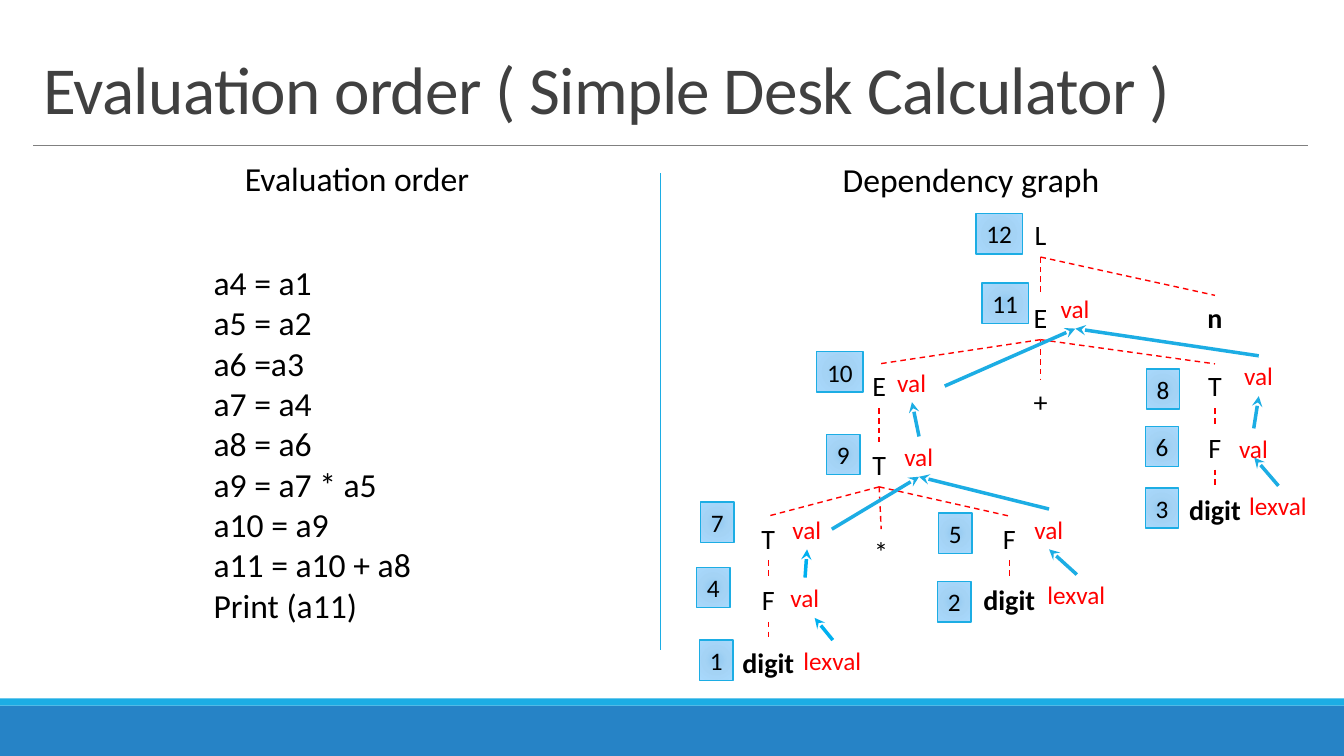
from lxml import etree
from pptx import Presentation
from pptx.dml.color import RGBColor
from pptx.enum import dml, shapes, text
from pptx.oxml import parse_xml
from pptx.oxml.ns import nsdecls, qn
from pptx.util import Inches, Pt

FONT = "Calibri"
BLACK = RGBColor(0x00, 0x00, 0x00)
TITLE_GREY = RGBColor(0x40, 0x40, 0x40)
RULE_GREY = RGBColor(0x80, 0x80, 0x80)
RED = RGBColor(0xFF, 0x00, 0x00)
CYAN = RGBColor(0x1C, 0xAD, 0xE4)
BRIGHT_CYAN = RGBColor(0x00, 0xB0, 0xF0)
BLUE = RGBColor(0x26, 0x83, 0xC6)
BADGE_STOPS = [(0, RGBColor(0x92, 0xC9, 0xF0)), (45, RGBColor(0xA4, 0xD3, 0xF5)),
               (100, RGBColor(0xA9, 0xD9, 0xFD))]

TOP, BOTTOM, RIGHT = 0, 2, 3

STEPS = ["a4 = a1", "a5 = a2", "a6 =a3", "a7 = a4", "a8 = a6", "a9 = a7 * a5",
         "a10 = a9", "a11 = a10 + a8", "Print (a11)"]

SYMBOLS = {
    "L": ("L", 3.42, 0.61), "E sum": ("E", 3.42, 1.43), "n": ("n", 5.15, 1.43),
    "E left": ("E", 1.82, 2.11), "+": ("+", 3.42, 2.27), "T right": ("T", 5.15, 2.11),
    "F right": ("F", 5.15, 2.72), "digit right": ("digit", 5.15, 3.34),
    "T product": ("T", 1.82, 2.89), "T left": ("T", 0.72, 3.62), "*": ("*", 1.84, 3.75),
    "F middle": ("F", 3.11, 3.62), "digit middle": ("digit", 3.11, 4.23),
    "F left": ("F", 0.72, 4.23), "digit left": ("digit", 0.72, 4.85),
}
CHILDREN = {
    "L": ["E sum", "n"], "E sum": ["E left", "+", "T right"], "E left": ["T product"],
    "T product": ["T left", "*", "F middle"], "T left": ["F left"],
    "F left": ["digit left"], "F middle": ["digit middle"],
    "T right": ["F right"], "F right": ["digit right"],
}
ATTRIBUTES = {
    "digit left": (0.97, 4.85), "digit middle": (3.39, 4.2), "digit right": (5.39, 3.32),
    "F left": (0.84, 4.23), "T left": (0.86, 3.55), "F middle": (3.26, 3.55),
    "E left": (1.9, 2.09), "T product": (1.97, 2.83), "F right": (5.29, 2.75),
    "T right": (5.34, 2.03), "E sum": (3.52, 1.36),
}
DEPENDENCIES = [
    (("digit left", TOP), (1.18, 4.63), BRIGHT_CYAN),
    (("F left", TOP), ("T left", BOTTOM), BRIGHT_CYAN),
    (("digit middle", TOP), ("F middle", BOTTOM), CYAN),
    (("T left", RIGHT), ("T product", BOTTOM), CYAN),
    (("F middle", TOP), ("T product", BOTTOM), CYAN),
    (("T product", TOP), ("E left", BOTTOM), CYAN),
    ((2.47, 2.33), ("E sum", BOTTOM), CYAN),
    (("T right", TOP), ("E sum", BOTTOM), CYAN),
    (("digit right", TOP), (5.54, 3.04), CYAN),
    (("F right", TOP), ("T right", BOTTOM), CYAN),
]
BADGES = {
    1: (0.04, 4.85), 2: (2.4, 4.27), 3: (4.46, 3.34), 4: (0.01, 4.13),
    5: (2.41, 3.59), 6: (4.46, 2.73), 7: (0.05, 3.48), 8: (4.47, 2.16),
    9: (1.3, 2.81), 10: (1.2, 1.99), 11: (2.84, 1.31), 12: (2.78, 0.62),
}


def write(frame, words, size, color=BLACK, bold=False, align=text.PP_ALIGN.LEFT):
    frame.text = words
    for paragraph in frame.paragraphs:
        paragraph.alignment = align
        for run in paragraph.runs:
            run.font.name = FONT
            run.font.size = Pt(size)
            run.font.bold = bold
            run.font.color.rgb = color


def add_label(slide, box, words, size, wrap=False, **style):
    label = slide.shapes.add_textbox(*map(Inches, box))
    label.text_frame.word_wrap = wrap
    write(label.text_frame, words, size, **style)
    return label


def add_line(slide, start, end, color, width):
    line = slide.shapes.add_connector(shapes.MSO_CONNECTOR.STRAIGHT,
                                      *map(Inches, (*start, *end)))
    line.line.color.rgb = color
    line.line.width = Pt(width)
    etree.SubElement(line._element.spPr, qn("a:effectLst"))
    return line


def add_bar(slide, top, height, color):
    bar = slide.shapes.add_shape(shapes.MSO_SHAPE.RECTANGLE, 0, Inches(top),
                                 Inches(13.33), Inches(height))
    bar.shadow.inherit = False
    bar.fill.solid()
    bar.fill.fore_color.rgb = color
    bar.line.fill.background()


def add_badge(slide, left, top, number):
    width = 0.33 if number < 10 else 0.46
    badge = slide.shapes.add_shape(shapes.MSO_SHAPE.RECTANGLE,
                                   *map(Inches, (left, top, width, 0.4)))
    badge.shadow.inherit = False
    stops = "".join(f'<a:gs pos="{pos * 1000}"><a:srgbClr val="{color}"/></a:gs>'
                    for pos, color in BADGE_STOPS)
    gradient = parse_xml(
        f'<a:gradFill {nsdecls("a")}><a:gsLst>{stops}</a:gsLst><a:path path="circle">'
        '<a:fillToRect l="100000" t="100000" r="100000" b="100000"/></a:path></a:gradFill>')
    badge._element.spPr.find(qn("a:prstGeom")).addnext(gradient)
    badge.line.color.rgb = CYAN
    badge.line.width = Pt(1)
    badge.text_frame.word_wrap = False
    write(badge.text_frame, str(number), 18, align=text.PP_ALIGN.CENTER)


def add_title(slide, left, top, width, height):
    title = slide.shapes.title
    title.left, title.top, title.width, title.height = map(Inches, (left, top, width, height))
    frame = title.text_frame
    frame.word_wrap = True
    frame.auto_size = text.MSO_AUTO_SIZE.NONE
    frame.vertical_anchor = text.MSO_ANCHOR.BOTTOM
    write(frame, "Evaluation order ( Simple Desk Calculator )", 48, TITLE_GREY)
    heading = frame.paragraphs[0]
    heading.line_spacing = 0.85
    heading.runs[0].font._element.set("spc", "-50")
    rule = top + height + 0.12
    add_line(slide, (left, rule), (left + width, rule), RULE_GREY, 0.5)


def add_evaluation_order(slide, left, top):
    add_label(slide, (left + 0.31, top, 2.45, 0.5), "Evaluation order", 24)
    add_label(slide, (left, top + 1.03, 2.21, 3.74), "\n".join(STEPS), 24)


def add_dependency_graph(slide, left, top):
    def place(x, y):
        return left + x, top + y

    add_label(slide, (*place(1.36, 0.03), 2.78, 0.5), "Dependency graph", 24)

    symbols = {}
    for name, (words, center, y) in SYMBOLS.items():
        width = 1.92 if words == "digit" else 1.28 if words in "ETF" else 0.48
        symbols[name] = add_label(slide, (*place(center - width / 2, y), width, 0.44),
                                  words, 20, wrap=True, bold=words in ("digit", "n"),
                                  align=text.PP_ALIGN.CENTER)
    for parent, children in CHILDREN.items():
        for child in children:
            branch = add_line(slide, (left, top), (left, top), RED, 1)
            branch.line.dash_style = dml.MSO_LINE.DASH
            branch.begin_connect(symbols[parent], BOTTOM)
            branch.end_connect(symbols[child], TOP)

    attributes = {}
    for name, position in ATTRIBUTES.items():
        words, width = ("lexval", 0.78) if name.startswith("digit") else ("val", 0.49)
        attributes[name] = add_label(slide, (*place(*position), width, 0.4),
                                     words, 18, color=RED)
    for source, target, color in DEPENDENCIES:
        start, end = (place(*point) if point[0] not in attributes else (left, top)
                      for point in (source, target))
        arrow = add_line(slide, start, end, color, 2.5)
        if source[0] in attributes:
            arrow.begin_connect(attributes[source[0]], source[1])
        if target[0] in attributes:
            arrow.end_connect(attributes[target[0]], target[1])
        etree.SubElement(arrow.line._get_or_add_ln(), qn("a:tailEnd"), type="stealth")

    for number, position in BADGES.items():
        add_badge(slide, *place(*position), number)


def main():
    deck = Presentation()
    deck.slide_width, deck.slide_height = Inches(13.33), Inches(7.5)
    slide = deck.slides.add_slide(deck.slide_layouts[5])
    add_bar(slide, 7, 0.5, BLUE)
    add_bar(slide, 6.93, 0.07, CYAN)
    add_title(slide, 0.33, 0.31, 12.64, 1.01)
    add_line(slide, (6.55, 1.72), (6.55, 6.45), CYAN, 1)
    add_evaluation_order(slide, 2.02, 1.52)
    add_dependency_graph(slide, 6.9, 1.5)
    deck.save("out.pptx")


if __name__ == "__main__":
    main()
